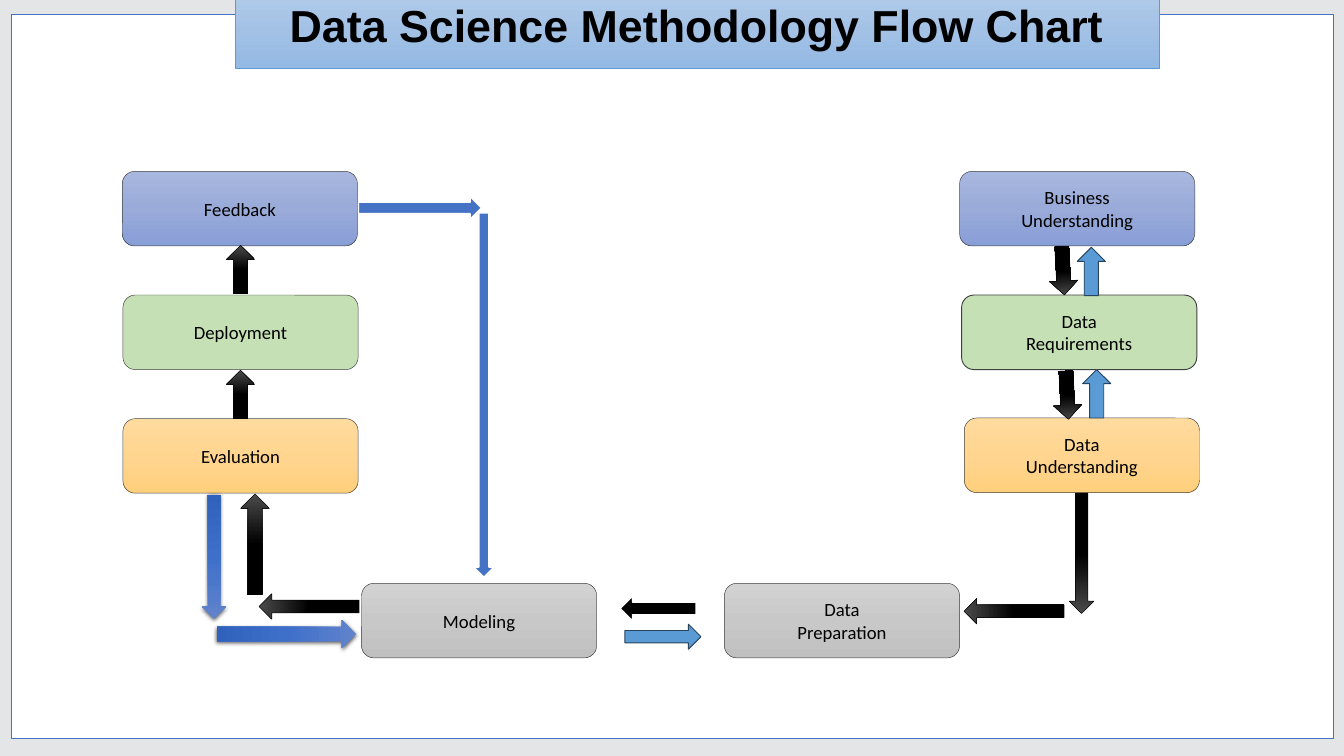
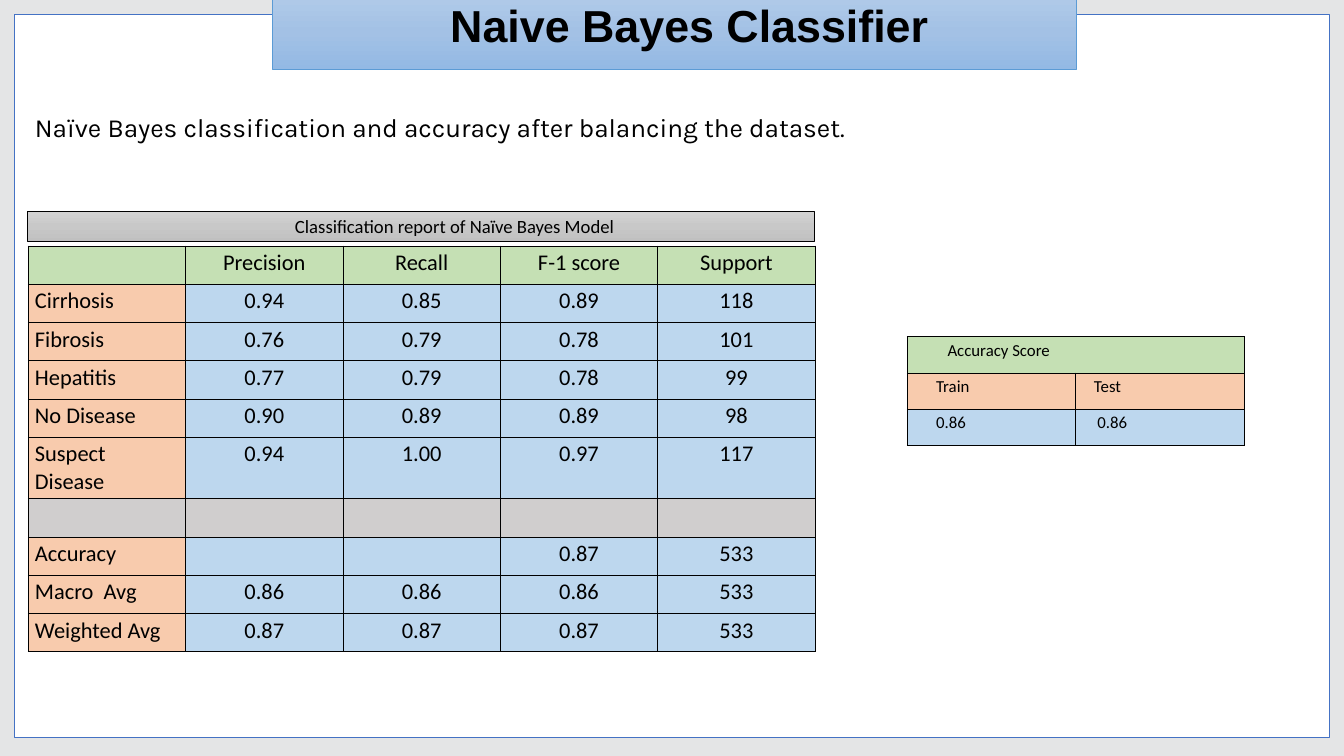
import copy
import lxml.etree
import pptx
import pptx.dml.color
import pptx.enum.shapes
import pptx.enum.text
import pptx.oxml.ns
import pptx.util

RGB = pptx.dml.color.RGBColor
KIND = pptx.enum.shapes.MSO_SHAPE
ALIGN = pptx.enum.text.PP_ALIGN
ANCHOR = pptx.enum.text.MSO_ANCHOR
FIT = pptx.enum.text.MSO_AUTO_SIZE
qn = pptx.oxml.ns.qn

SCALE = 9144
TITLE_ONLY = 5

BLACK = RGB(0x00, 0x00, 0x00)
WHITE = RGB(0xFF, 0xFF, 0xFF)
PAGE = RGB(0xE4, 0xE5, 0xE6)
BLUE = RGB(0x44, 0x72, 0xC4)
SKY = RGB(0x5B, 0x9B, 0xD5)
NAVY = RGB(0x28, 0x44, 0x5D)
EDGE = RGB(0x40, 0x40, 0x40)
COAL = RGB(0x4B, 0x4B, 0x4B)
GREEN = RGB(0xC5, 0xE0, 0xB4)
PEACH = RGB(0xF8, 0xCB, 0xAD)
PALE = RGB(0xBD, 0xD7, 0xEE)
GREY = RGB(0xD0, 0xCE, 0xCE)

BAND_FADE = (RGB(0xB1, 0xCB, 0xE9), RGB(0xA3, 0xC1, 0xE5), RGB(0x93, 0xB9, 0xE4))
GOLD_FADE = (RGB(0xFF, 0xDB, 0x9E), RGB(0xFF, 0xD5, 0x90), RGB(0xFF, 0xD0, 0x7C))
LILAC_FADE = (RGB(0xA8, 0xB7, 0xDF), RGB(0x9A, 0xAB, 0xD9), RGB(0x88, 0x9E, 0xD7))
GREY_FADE = (RGB(0xD2, 0xD2, 0xD2), RGB(0xC8, 0xC8, 0xC8), RGB(0xC0, 0xC0, 0xC0))
BLUE_FADE = (RGB(0x61, 0x83, 0xCB), RGB(0x3E, 0x70, 0xCA), RGB(0x30, 0x62, 0xBB))

DARK = ((COAL, BLACK, BLACK), BLACK, 0.5)
BACK = ((SKY,), NAVY, 1)
LOOP = ((BLUE,), WHITE, 1.5)
PLAIN = ((BLACK,), WHITE, 1.5)
GLOW = (BLUE_FADE, None, 0)

STAGE_W, STAGE_H = 350, 111

REPORT = [
    ("", "Precision", "Recall", "F-1 score", "Support"),
    ("Cirrhosis", "0.94", "0.85", "0.89", "118"),
    ("Fibrosis", "0.76", "0.79", "0.78", "101"),
    ("Hepatitis", "0.77", "0.79", "0.78", "99"),
    ("No Disease", "0.90", "0.89", "0.89", "98"),
    ("Suspect Disease", "0.94", "1.00", "0.97", "117"),
    ("", "", "", "", ""),
    ("Accuracy", "", "", "0.87", "533"),
    ("Macro  Avg", "0.86", "0.86", "0.86", "533"),
    ("Weighted Avg", "0.87", "0.87", "0.87", "533"),
]
SCORE = [("Accuracy Score", ""), ("Train", "Test"), ("0.86", "0.86")]
SCORE_PADS = [(60, 10), (43, 27), (43, 32)]


def px(*nums):
    return [round(num * SCALE) for num in nums]


def paint(shape, look):
    tones, edge, width = look
    fill = shape.fill
    if len(tones) == 1:
        fill.solid()
        fill.fore_color.rgb = tones[0]
    else:
        fill.gradient()
        fill.gradient_angle = 270
        stops = shape.element.spPr.find(".//" + qn("a:gsLst"))
        stops.insert(1, copy.deepcopy(stops[0]))
        for step, (stop, tone) in enumerate(zip(fill.gradient_stops, tones)):
            stop.position = step / 2
            stop.color.rgb = tone
    if edge is None:
        shape.line.fill.background()
    else:
        shape.line.color.rgb = edge
        shape.line.width = pptx.util.Pt(width)
    shape.shadow.inherit = False


def write(para, text, size, face="Calibri", bold=False, align=ALIGN.LEFT):
    para.alignment = align
    run = para.add_run()
    run.text = text
    font = run.font
    font.name, font.size, font.bold = face, pptx.util.Pt(size), bold
    font.color.rgb = BLACK


def block(slide, kind, box, look):
    shape = slide.shapes.add_shape(kind, *px(*box))
    paint(shape, look)
    return shape


def start(deck, frame, band, text, inset):
    slide = deck.slides.add_slide(deck.slide_layouts[TITLE_ONLY])
    title = slide.shapes.title
    sheet = block(slide, KIND.RECTANGLE, frame, ((WHITE,), BLUE, 1))
    title.element.addprevious(sheet.element)
    title.left, title.top, title.width, title.height = px(*band)
    paint(title, (BAND_FADE, SKY, 0.5))
    body = title.text_frame
    body.auto_size = FIT.NONE
    body.word_wrap = True
    body.vertical_anchor = ANCHOR.TOP
    body.margin_left = px(inset)[0]
    write(body.paragraphs[0], text, 48, "Arial", True)
    return slide


def stage(slide, x, y, tones, *lines, width=0.5):
    shape = block(slide, KIND.ROUNDED_RECTANGLE, (x, y, STAGE_W, STAGE_H),
                  (tones, EDGE, width))
    body = shape.text_frame
    body.vertical_anchor = ANCHOR.MIDDLE
    for row, line in enumerate(lines):
        para = body.add_paragraph() if row else body.paragraphs[0]
        write(para, line, 20, align=ALIGN.CENTER)


def arrow(slide, box, look, turn=0):
    shape = block(slide, KIND.UP_ARROW, box, look)
    shape.rotation = turn
    if look is GLOW:
        effects = shape.element.spPr.find(qn("a:effectLst"))
        shade = lxml.etree.SubElement(effects, qn("a:outerShdw"), blurRad="57150",
                                      dist="19050", dir="5400000", rotWithShape="0")
        tone = lxml.etree.SubElement(shade, qn("a:srgbClr"), val=str(BLACK))
        lxml.etree.SubElement(tone, qn("a:alpha"), val="63000")


def left_branch(slide, x, y):
    stage(slide, x, y, LILAC_FADE, "Feedback")
    stage(slide, x + 1, y + 184, (GREEN,), "Deployment")
    stage(slide, x + 1, y + 368, GOLD_FADE, "Evaluation")
    for top in (y + 110, y + 296):
        arrow(slide, (x + 155, top, 42, 72), DARK)
    arrow(slide, (x + 223, y + 585, 43, 207), GLOW, 90)
    arrow(slide, (x + 118, y + 481, 37, 185), GLOW, 180)
    arrow(slide, (x + 259, y + 573, 38, 149), DARK, 270)
    arrow(slide, (x + 176, y + 480, 43, 150), DARK)
    arrow(slide, (x + 523, y + 62, 30, 542), LOOP, 180)
    arrow(slide, (x + 426, y - 37, 34, 183), LOOP, 90)


def right_branch(slide, x, y):
    stage(slide, x, y, LILAC_FADE, "Business", "Understanding")
    stage(slide, x + 3, y + 184, (GREEN,), "Data", "Requirements", width=1)
    stage(slide, x + 7, y + 367, GOLD_FADE, "Data", "Understanding")
    for shift, top in ((0, y + 113), (8, y + 295)):
        arrow(slide, (x + 175 + shift, top, 42, 72), BACK)
    for shift, top in ((0, y + 112), (6, y + 297)):
        arrow(slide, (x + 133 + shift, top, 42, 72), DARK, 177)
    arrow(slide, (x + 62, y + 580, 38, 149), DARK, 270)
    arrow(slide, (x + 163, y + 479, 37, 179), DARK, 180)


def base(slide, x, y):
    stage(slide, x, y, GREY_FADE, "Modeling")
    stage(slide, x + 540, y, GREY_FADE, "Data", "Preparation")
    arrow(slide, (x + 430, y + 23, 37, 113), BACK, 90)
    arrow(slide, (x + 423, y - 19, 37, 113), PLAIN, 270)


def border(cell):
    props = cell._tc.get_or_add_tcPr()
    for spot, side in enumerate(("lnL", "lnR", "lnT", "lnB")):
        line = lxml.etree.Element(qn("a:" + side), w="12700")
        fill = lxml.etree.SubElement(line, qn("a:solidFill"))
        lxml.etree.SubElement(fill, qn("a:srgbClr"), val=str(BLACK))
        props.insert(spot, line)


def grid(slide, box, rows):
    frame = slide.shapes.add_table(len(rows), len(rows[0]), *px(*box))
    table = frame.table
    table.first_row = table.horz_banding = False
    return table


def fill_cell(cell, text, tone, size, align=ALIGN.LEFT, pad=10):
    cell.fill.solid()
    cell.fill.fore_color.rgb = tone
    cell.margin_left = px(pad)[0]
    if text:
        write(cell.text_frame.paragraphs[0], text, size, align=align)
    border(cell)


def report(slide, x, y, width):
    bar = block(slide, KIND.RECTANGLE, (x, y, width, 44), (GREY_FADE, BLACK, 0.5))
    bar.text_frame.margin_left = px(398)[0]
    write(bar.text_frame.paragraphs[0], "Classification report of Naïve Bayes Model", 20)
    table = grid(slide, (x + 1, y + 51, width, 57 * len(REPORT)), REPORT)
    for row, words in enumerate(REPORT):
        for col, word in enumerate(words):
            if row == 0:
                tone = GREEN
            elif not any(words):
                tone = GREY
            else:
                tone = PALE if col else PEACH
            align = ALIGN.CENTER if col else ALIGN.LEFT
            fill_cell(table.cell(row, col), word, tone, 24, align)


def score(slide, x, y, width):
    table = grid(slide, (x, y, width, 54 * len(SCORE)), SCORE)
    for row, (words, pads, tone) in enumerate(zip(SCORE, SCORE_PADS, (GREEN, PEACH, PALE))):
        for col, (word, pad) in enumerate(zip(words, pads)):
            fill_cell(table.cell(row, col), word, tone, 18, pad=pad)
    table.cell(0, 0).merge(table.cell(0, 1))


def lead(slide, box, text):
    body = slide.shapes.add_textbox(*px(*box)).text_frame
    body.word_wrap = True
    write(body.paragraphs[0], text, 28, "Karla")


def flow_slide(deck):
    slide = start(deck, (17, 22, 1967, 1077), (350, -9, 1375, 111),
                  "Data Science Methodology Flow Chart", 81)
    left_branch(slide, 182, 255)
    right_branch(slide, 1428, 255)
    base(slide, 538, 868)


def bayes_slide(deck):
    slide = start(deck, (21, 21, 1958, 1076), (405, -8, 1197, 111),
                  "Naive Bayes Classifier", 265)
    report(slide, 41, 315, 1171)
    score(slide, 1350, 501, 502)
    lead(slide, (42, 161, 1342, 57),
         "Naïve Bayes classification and accuracy after balancing the dataset.")


def main():
    deck = pptx.Presentation()
    deck.slide_width, deck.slide_height = px(2000, 1125)
    back = deck.slide_master.background.fill
    back.solid()
    back.fore_color.rgb = PAGE
    flow_slide(deck)
    bayes_slide(deck)
    deck.save("out.pptx")


if __name__ == "__main__":
    main()
